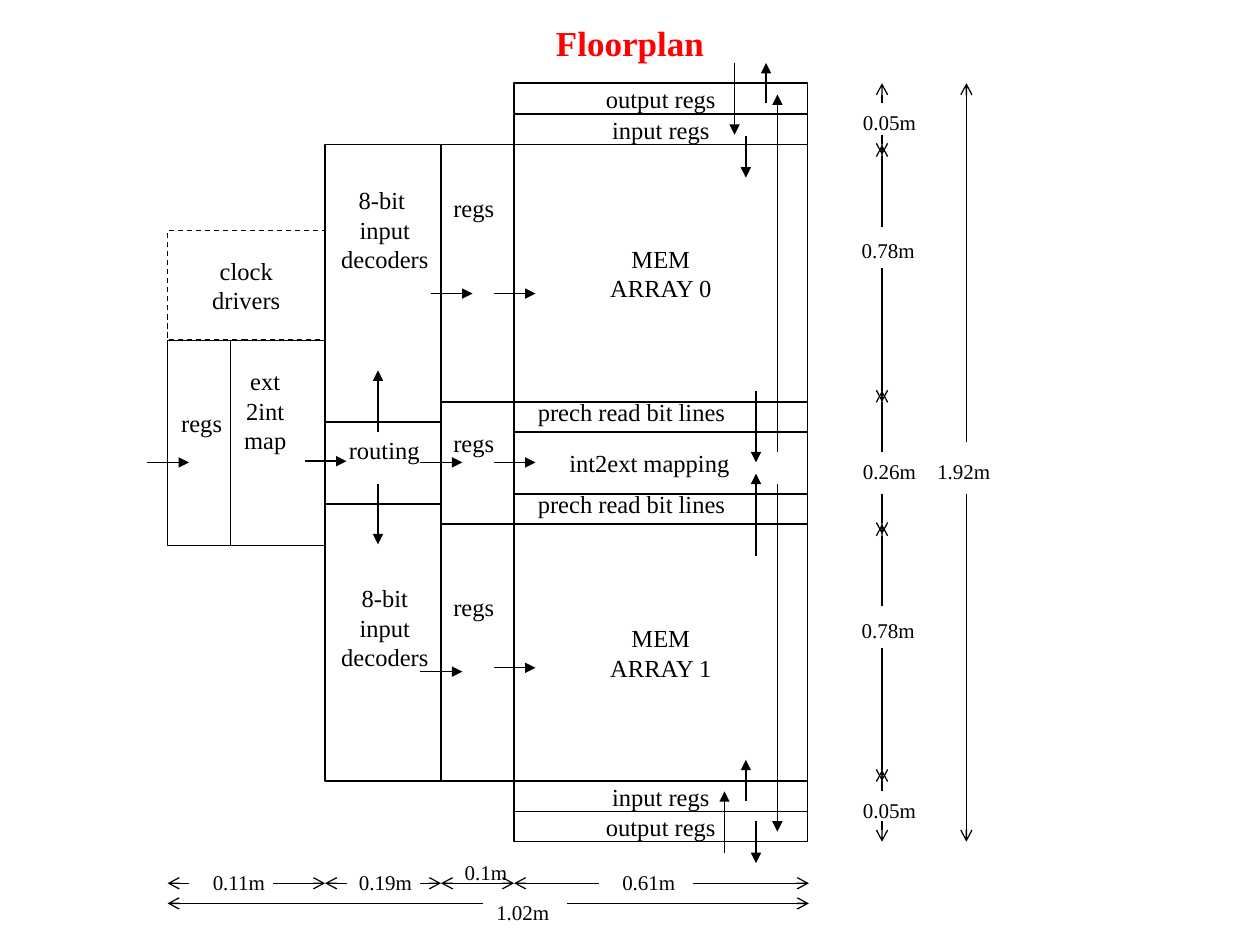
from lxml import etree
from pptx import Presentation
from pptx.dml.color import RGBColor
from pptx.enum.dml import MSO_LINE
from pptx.enum.shapes import MSO_CONNECTOR, MSO_SHAPE
from pptx.enum.text import MSO_ANCHOR, MSO_AUTO_SIZE, PP_ALIGN
from pptx.oxml.ns import qn
from pptx.util import Inches, Pt

CENTER, LEFT = PP_ALIGN.CENTER, PP_ALIGN.LEFT
MIDDLE = MSO_ANCHOR.MIDDLE
FIT_TEXT = MSO_AUTO_SIZE.SHAPE_TO_FIT_TEXT
RECTANGLE, STRAIGHT, DASH = MSO_SHAPE.RECTANGLE, MSO_CONNECTOR.STRAIGHT, MSO_LINE.DASH
FONT, BLACK, RED = "Times New Roman", "000000", "FF0000"


def color(value):
    """Turn a hex string into a colour."""
    return RGBColor.from_string(value)


def write(frame, text, size, align, ink=BLACK, bold=False):
    """Fill a text frame and format every paragraph."""
    frame.text = text
    for para in frame.paragraphs:
        para.alignment = align
        for span in para.runs:
            span.font.name, span.font.size, span.font.bold = FONT, Pt(size), bold
            span.font.color.rgb = color(ink)


def add_block(page, left, top, width, height, text="", dash=None):
    """Draw one unfilled floorplan block with an optional centred name."""
    block = page.shapes.add_shape(
        RECTANGLE, Inches(left), Inches(top), Inches(width), Inches(height))
    block.shadow.inherit = False
    block.fill.background()
    block.line.color.rgb = color(BLACK)
    block.line.width = Pt(0.75)
    if dash:
        block.line.dash_style = dash
    if text:
        block.text_frame.word_wrap = False
        block.text_frame.vertical_anchor = MIDDLE
        write(block.text_frame, text, 14, CENTER)


def add_label(page, left, top, width, height, text, size=14, align=LEFT):
    """Place a free label that does not wrap."""
    label = page.shapes.add_textbox(
        Inches(left), Inches(top), Inches(width), Inches(height))
    label.text_frame.word_wrap = False
    label.text_frame.auto_size = FIT_TEXT
    write(label.text_frame, text, size, align)


def add_line(page, x1, y1, x2, y2, arrowhead=None):
    """Draw a thin straight line with an optional arrowhead at its end."""
    line = page.shapes.add_connector(
        STRAIGHT, Inches(x1), Inches(y1), Inches(x2), Inches(y2))
    line.line.color.rgb = color(BLACK)
    line.line.width = Pt(0.75)
    if arrowhead:
        etree.SubElement(line.line._get_or_add_ln(), qn("a:tailEnd"), type=arrowhead)
    etree.SubElement(line._element.spPr, qn("a:effectLst"))


def add_flows(page, left, top, flows):
    """Draw signal arrows given relative to a region's corner."""
    for x1, y1, x2, y2 in flows:
        add_line(page, left + x1, top + y1, left + x2, top + y2, "triangle")


def add_title(page, left, top, width, height):
    """Place the page title."""
    title = page.shapes.title
    title.left, title.top = Inches(left), Inches(top)
    title.width, title.height = Inches(width), Inches(height)
    title.text_frame.vertical_anchor = MIDDLE
    write(title.text_frame, "Floorplan", 20, CENTER, RED, True)


def add_external_map(page, left, top, width, height):
    """Draw the clock drivers above the input registers and external map."""
    clock, regs = 0.87, 0.5
    add_block(page, left, top, width, clock, "clock\ndrivers", DASH)
    add_block(page, left, top + clock, regs, height - clock)
    add_block(page, left + regs, top + clock, width - regs, height - clock)
    add_label(page, left + 0.01, top + 1.36, 0.56, 0.34, "regs")
    add_label(page, left + 0.48, top + 1.03, 0.59, 0.8, "ext\n2int\nmap", align=CENTER)
    add_flows(page, left, top, [(-0.16, 1.84, 0.17, 1.84), (1.09, 1.83, 1.42, 1.83)])


def add_decoders(page, left, top, width, height):
    """Draw the two input decoders with routing between them."""
    block = 2.2
    for block_top, label_top, text in (
            (top, top + 0.27, "8-bit \ninput\ndecoders"),
            (top + height - block, top + 3.43, "8-bit\ninput\ndecoders")):
        add_block(page, left, block_top, width, block)
        add_label(page, left + 0.01, label_top, 0.93, 0.8, text, align=CENTER)
    add_label(page, left + 0.09, top + 2.25, 0.8, 0.34, "routing")
    add_flows(page, left, top, [(0.42, 2.28, 0.42, 1.79), (0.42, 2.69, 0.42, 3.17)])


def add_registers(page, left, top, width, height):
    """Draw the register column between decoders and memory."""
    block = 2.04
    for block_top in (top, top + height - block):
        add_block(page, left, block_top, width, block)
    for x in (left, left + width):
        add_line(page, x, top + block, x, top + height - block)
    for label_top in (0.33, 2.2, 3.5):
        add_label(page, left, top + label_top, 0.56, 0.34, "regs")
    add_flows(page, left, top, [
        (-0.08, 1.18, 0.25, 1.18), (-0.17, 2.52, 0.17, 2.52), (-0.17, 4.18, 0.17, 4.18),
        (0.42, 1.18, 0.75, 1.18), (0.42, 2.52, 0.75, 2.52), (0.42, 4.15, 0.75, 4.15)])


def add_memory(page, left, top, width, height):
    """Draw both memory arrays with their registers and bit lines."""
    row, array = 0.24, 2.04
    for block_top, block_height, text in (
            (0, row, "output regs"), (0.25, row, "input regs"),
            (0.49, array, "MEM\nARRAY 0"), (2.53, row, ""), (3.26, row, ""),
            (3.5, array, "MEM\nARRAY 1"), (height - 2 * row, row, "input regs"),
            (height - row, row, "output regs")):
        add_block(page, left, top + block_top, width, block_height, text)
    add_line(page, left + width, top + 2.77, left + width, top + 3.26)
    for label_top in (2.44, 3.17):
        add_label(page, left + 0.09, top + label_top, 1.72, 0.34, "prech read bit lines")
    add_label(page, left + 0.34, top + 2.85, 1.5, 0.34, "int2ext mapping")
    add_flows(page, left, top, [
        (1.75, -0.16, 1.75, 0.41), (2, 0.16, 2, -0.16), (1.84, 0.42, 1.84, 0.75),
        (1.92, 2.44, 1.92, 3.01), (1.92, 3.75, 1.92, 3.1),
        (2.09, 2.93, 2.09, 0.09), (2.09, 3.18, 2.09, 5.94),
        (1.67, 6.11, 1.67, 5.62), (1.84, 5.7, 1.84, 5.37), (1.92, 5.86, 1.92, 6.19)])


def add_heights(page, left, top):
    """Draw the vertical dimensions right of the memory."""
    for x, shift, text, label_top, start, gap_start, gap_end, end in (
            (0, -0.25, "0.05m", 0.16, 0, 0.16, 0.41, 0.57),
            (0, -0.26, "0.78m", 1.18, 0.49, 1.14, 1.47, 2.53),
            (0, -0.25, "0.26m", 2.93, 2.44, 2.93, 3.26, 3.58),
            (0, -0.26, "0.78m", 4.19, 3.5, 4.15, 4.48, 5.54),
            (0, -0.25, "0.05m", 5.62, 5.45, 5.62, 5.86, 6.02),
            (0.67, -0.33, "1.92m", 2.93, 0, 2.85, 3.26, 6.02)):
        line_x = left + x
        add_line(page, line_x, top + gap_start, line_x, top + start, "arrow")
        add_line(page, line_x, top + gap_end, line_x, top + end, "arrow")
        add_label(page, line_x + shift, top + label_top, 0.65, 0.3, text, 12)


def add_widths(page, left, top):
    """Draw the horizontal dimensions below the floorplan."""
    for y, shift, text, label_left, start, gap_start, gap_end, end in (
            (0, -0.16, "0.11m", 0.26, 0, 0.17, 0.84, 1.25),
            (0, -0.16, "0.19m", 1.42, 1.25, 1.42, 2, 2.17),
            (0, -0.24, "0.1m", 2.26, 2.17, 2.42, 2.42, 2.75),
            (0, -0.16, "0.61m", 3.51, 2.75, 3.42, 4.17, 5.09),
            (0.16, -0.08, "1.02m", 2.51, 0, 2.5, 3.17, 5.09)):
        line_y = top + y
        add_line(page, left + gap_start, line_y, left + start, line_y, "arrow")
        add_line(page, left + gap_end, line_y, left + end, line_y, "arrow")
        label_width = 0.57 if text == "0.1m" else 0.65
        add_label(page, left + label_left, line_y + shift, label_width, 0.3, text, 12)


def main():
    """Build the floorplan deck."""
    deck = Presentation()
    deck.slide_width, deck.slide_height = Inches(10), Inches(7.5)
    page = deck.slides.add_slide(deck.slide_layouts[5])
    add_title(page, 0.75, 0, 8.5, 0.67)
    add_external_map(page, 1.33, 1.83, 1.25, 2.5)
    add_decoders(page, 2.58, 1.15, 0.92, 5.05)
    add_registers(page, 3.5, 1.15, 0.58, 5.05)
    add_memory(page, 4.08, 0.66, 2.33, 6.02)
    add_heights(page, 7, 0.66)
    add_widths(page, 1.33, 7.01)
    deck.save("out.pptx")


if __name__ == "__main__":
    main()
